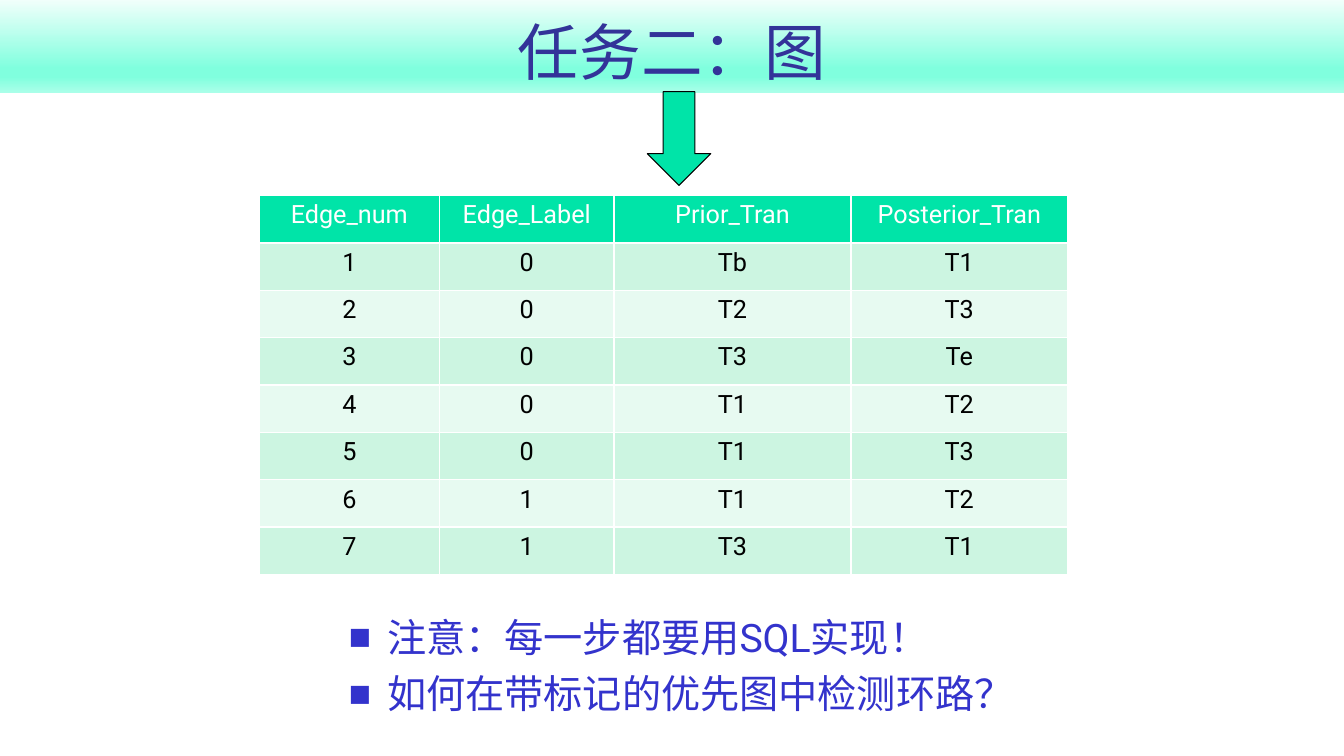
from dataclasses import dataclass

from lxml import etree
from pptx import Presentation
from pptx import util as u
from pptx.dml.color import RGBColor
from pptx.enum import shapes, text
from pptx.oxml import ns


@dataclass(frozen=True)
class Theme:
    """Hold the colours and type sizes of the slide."""
    font: str = "Roboto"
    title: str = "333399"
    body: str = "3333CC"
    green: str = "00E4A8"
    white: str = "FFFFFF"
    black: str = "000000"
    bands: tuple = ("CCF5E1", "E7FAF1")
    fade: tuple = ((0, "F1FFFB"), (74, "80FFDE"), (83, "80FFDE"), (100, "AAFFE9"))
    big: int = 44
    mid: int = 28
    small: int = 18


T = Theme()
HEAD = ("Edge_num", "Edge_Label", "Prior_Tran", "Posterior_Tran")
EDGES = (
    ("0", "Tb", "T1"),
    ("0", "T2", "T3"),
    ("0", "T3", "Te"),
    ("0", "T1", "T2"),
    ("0", "T1", "T3"),
    ("1", "T1", "T2"),
    ("1", "T3", "T1"),
)
WIDTHS = (1.79, 1.73, 2.35, 2.15)
NOTES = ("注意：每一步都要用SQL实现！", "如何在带标记的优先图中检测环路？")


def rgb(code):
    """Turn a hex code into a colour."""
    return RGBColor.from_string(code)


def add(parent, tag, **attrs):
    """Append a drawing element to its parent."""
    node = etree.SubElement(parent, ns.qn(tag))
    for key, value in attrs.items():
        node.set(key, str(value))
    return node


def place(shape, box):
    """Move a shape to its box."""
    shape.left, shape.top, shape.width, shape.height = map(u.Inches, box)


def write(para, words, size, color, align):
    """Add one formatted run to a paragraph."""
    para.alignment = align
    run = para.add_run()
    run.text = words
    run.font.size = u.Pt(size)
    run.font.name = T.font
    run.font.color.rgb = rgb(color)
    add(run.font._element, "a:ea", typeface=T.font)


def banner(slide, box):
    """Format the title over a vertical fade."""
    shape = slide.shapes.title
    place(shape, box)
    fade = add(shape._element.spPr, "a:gradFill", rotWithShape=1)
    stops = add(fade, "a:gsLst")
    for pos, color in T.fade:
        add(add(stops, "a:gs", pos=pos * 1000), "a:srgbClr", val=color)
    add(fade, "a:lin", ang=90 * 60000, scaled=0)
    frame = shape.text_frame
    frame.auto_size = text.MSO_AUTO_SIZE.NONE
    frame.vertical_anchor = text.MSO_ANCHOR.BOTTOM
    write(frame.paragraphs[0], "任务二：图", T.big, T.title, text.PP_ALIGN.CENTER)


def grid(slide, box):
    """Draw the table of numbered edges."""
    rows = [HEAD] + [(str(num), *edge) for num, edge in enumerate(EDGES, 1)]
    table = slide.shapes.add_table(len(rows), len(HEAD), *map(u.Inches, box)).table
    for col, width in zip(table.columns, WIDTHS):
        col.width = u.Inches(width)
    for i, row in enumerate(rows):
        table.rows[i].height = u.Inches(box[3] / len(rows))
        fill = T.bands[(i - 1) % 2] if i else T.green
        color = T.black if i else T.white
        for j, words in enumerate(row):
            cell = table.cell(i, j)
            cell.fill.solid()
            cell.fill.fore_color.rgb = rgb(fill)
            para = cell.text_frame.paragraphs[0]
            write(para, words, T.small, color, text.PP_ALIGN.CENTER)
            para.runs[0].font.bold = False


def notes(slide, box):
    """Fill the body with square-bulleted notes."""
    shape = slide.placeholders[1]
    place(shape, box)
    frame = shape.text_frame
    frame.auto_size = text.MSO_AUTO_SIZE.NONE
    for i, words in enumerate(NOTES):
        para = frame.add_paragraph() if i else frame.paragraphs[0]
        write(para, words, T.mid, T.body, text.PP_ALIGN.JUSTIFY)
        para.space_before = u.Pt(T.mid / 4)
        props = para._p.get_or_add_pPr()
        props.set("marL", str(u.Inches(0.38)))
        props.set("indent", str(-u.Inches(0.38)))
        add(add(props, "a:buClr"), "a:srgbClr", val=T.body)
        add(props, "a:buSzPct", val=60000)
        add(props, "a:buFont", typeface=T.font)
        add(props, "a:buChar", char="■")


def arrow(slide, box):
    """Draw the arrow from the title to the table."""
    kind = shapes.MSO_SHAPE.DOWN_ARROW
    shape = slide.shapes.add_shape(kind, *map(u.Inches, box))
    shape.shadow.inherit = False
    shape.fill.solid()
    shape.fill.fore_color.rgb = rgb(T.green)
    shape.line.color.rgb = rgb(T.black)
    shape.line.width = u.Pt(0.75)


def main():
    """Build and save the slide."""
    deck = Presentation()
    deck.slide_width, deck.slide_height = u.Inches(13.33), u.Inches(7.5)
    slide = deck.slides.add_slide(deck.slide_layouts[1])
    banner(slide, (0, 0, 13.33, 0.92))
    grid(slide, (2.57, 1.94, 8.02, 3.76))
    notes(slide, (3.36, 6.03, 7.32, 1.34))
    arrow(slide, (6.42, 0.91, 0.63, 0.93))
    deck.save("out.pptx")


main()
